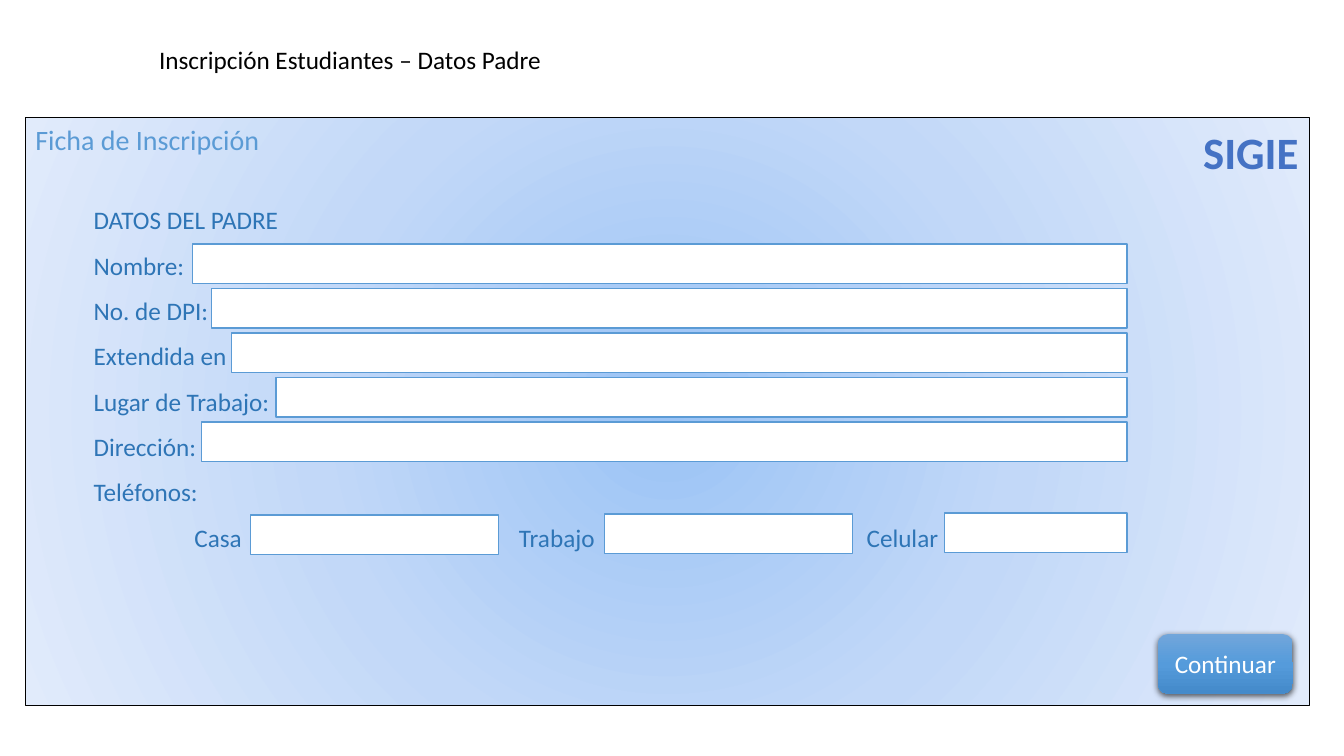
from dataclasses import dataclass

import pptx
import pptx.util
import pptx.oxml
import pptx.oxml.ns
import pptx.dml.color
import pptx.enum.shapes
import pptx.enum.text

Cm, Pt = pptx.util.Cm, pptx.util.Pt
FORM = pptx.enum.shapes.MSO_SHAPE
ALIGN = pptx.enum.text.PP_ALIGN
NS = pptx.oxml.ns.nsdecls("a")
FONT = "Calibri"
HUES = {
    "white": "FFFFFF", "black": "000000", "edge": "5B9BD5",
    "label": "2E75B6", "brand": "4472C4",
    "core": "9AC3F5", "mid": "C2D8F8", "rim": "E1EBFB",
    "top": "71A6DB", "body": "559BDB", "base": "448ACA",
}


@dataclass
class Box:
    left: float
    top: float
    width: float
    height: float

    def place(self) -> list[int]:
        return [Cm(v) for v in (self.left, self.top, self.width, self.height)]


@dataclass
class Note:
    box: Box
    lines: list[str]
    size: int
    hue: str
    wrap: bool = True
    bold: bool = False
    align: ALIGN = ALIGN.LEFT
    space: float = 1.0


RIGHT = 28.4
ROW_TOP, ROW_STEP, TALL = 6.15, 1.12, 1.0
LEFTS = [4.85, 5.33, 5.84, 6.96, 5.08]
ROWS = [Box(x, ROW_TOP + i * ROW_STEP, RIGHT - x, TALL)
        for i, x in enumerate(LEFTS)]
PHONES = [Box(6.32, 12.98, 6.25, TALL), Box(15.24, 12.95, 6.25, TALL),
          Box(23.8, 12.93, RIGHT - 23.8, TALL)]
TABS = [2.54, 10.72, 19.48]
PANEL = Box(0.64, 2.95, 32.36, 14.83)
BUTTON = Box(29.18, 15.98, 3.4, 1.5)

BRAND = Note(Box(30.05, 3.02, 2.95, 1.63), ["SIGIE"], 32, "brand",
             wrap=False, bold=True, align=ALIGN.CENTER)
TITLE = Note(Box(3.76, 0.99, 10.24, 1.02),
             ["Inscripción Estudiantes – Datos Padre"], 18, "black", wrap=False)
HEAD = Note(Box(0.64, 2.95, 11.38, 1.12), ["Ficha de Inscripción"], 20, "edge")
LABELS = Note(Box(2.11, 4.65, 27.94, 9.5),
              ["DATOS DEL PADRE", "Nombre:", "No. de DPI:", "Extendida en",
               "Lugar de Trabajo:", "Dirección:", "Teléfonos:",
               "\tCasa\tTrabajo\tCelular"], 18, "label", space=1.5)


def tint(hue: str) -> pptx.dml.color.RGBColor:
    return pptx.dml.color.RGBColor.from_string(HUES[hue])


def write(para, text: str, size: int, hue: str, bold: bool = False):
    run = para.add_run()
    run.text = text
    run.font.name, run.font.size, run.font.bold = FONT, Pt(size), bold
    run.font.color.rgb = tint(hue)
    return run


def add_note(slide, note: Note):
    shape = slide.shapes.add_textbox(*note.box.place())
    frame = shape.text_frame
    frame.word_wrap = note.wrap
    frame.auto_size = pptx.enum.text.MSO_AUTO_SIZE.SHAPE_TO_FIT_TEXT
    for i, line in enumerate(note.lines):
        para = frame.add_paragraph() if i else frame.paragraphs[0]
        para.alignment, para.line_spacing = note.align, note.space
        write(para, line, note.size, note.hue, note.bold)
    return shape


def add_form(slide, box: Box, kind=FORM.RECTANGLE):
    shape = slide.shapes.add_shape(kind, *box.place())
    shape.shadow.inherit = False
    return shape


def set_line(shape, hue: str, width: float) -> None:
    shape.line.color.rgb = tint(hue)
    shape.line.width = Pt(width)


def blend(shape, hues: list[str], shade: str) -> None:
    """Fill with evenly spaced gradient stops."""
    step = 100000 // (len(hues) - 1)
    stops = "".join(f'<a:gs pos="{i * step}"><a:srgbClr val="{HUES[h]}"/></a:gs>'
                    for i, h in enumerate(hues))
    fill = pptx.oxml.parse_xml(
        f"<a:gradFill {NS} rotWithShape=\"1\"><a:gsLst>{stops}</a:gsLst>{shade}</a:gradFill>")
    shape.element.spPr.find(pptx.oxml.ns.qn("a:prstGeom")).addnext(fill)


def add_panel(slide) -> None:
    panel = add_form(slide, PANEL)
    blend(panel, ["core", "mid", "rim"],
          '<a:path path="circle"><a:fillToRect l="50000" t="50000"'
          ' r="50000" b="50000"/></a:path>')
    set_line(panel, "black", 0.75)


def add_button(slide) -> None:
    button = add_form(slide, BUTTON, FORM.ROUNDED_RECTANGLE)
    blend(button, ["top", "body", "base"], '<a:lin ang="5400000" scaled="0"/>')
    button.line.fill.background()
    glow = button.element.spPr.find(pptx.oxml.ns.qn("a:effectLst"))
    glow.append(pptx.oxml.parse_xml(
        f'<a:outerShdw {NS} blurRad="{Pt(4.5)}" dist="{Pt(1.5)}" dir="5400000"'
        f' algn="ctr" rotWithShape="0"><a:srgbClr val="{HUES["black"]}">'
        '<a:alpha val="63000"/></a:srgbClr></a:outerShdw>'))
    button.text_frame.vertical_anchor = pptx.enum.text.MSO_ANCHOR.MIDDLE
    para = button.text_frame.paragraphs[0]
    para.alignment = ALIGN.CENTER
    write(para, "Continuar", 18, "white")


def add_brand(slide) -> None:
    """Large name with a thin white outline."""
    run = add_note(slide, BRAND).text_frame.paragraphs[0].runs[0]
    run.font.element.insert(0, pptx.oxml.parse_xml(
        f'<a:ln {NS} w="{Pt(0.75)}"><a:solidFill><a:srgbClr'
        f' val="{HUES["white"]}"/></a:solidFill></a:ln>'
    )) if hasattr(run.font, "element") else run.font._rPr.insert(
        0, pptx.oxml.parse_xml(
            f'<a:ln {NS} w="{Pt(0.75)}"><a:solidFill><a:srgbClr'
            f' val="{HUES["white"]}"/></a:solidFill></a:ln>'))


def add_labels(slide) -> None:
    """Form labels, the last line set on tab stops."""
    last = add_note(slide, LABELS).text_frame.paragraphs[-1]
    stops = "".join(f'<a:tab pos="{Cm(x)}" algn="l"/>' for x in TABS)
    last._p.get_or_add_pPr().append(
        pptx.oxml.parse_xml(f"<a:tabLst {NS}>{stops}</a:tabLst>"))


def add_field(slide, box: Box) -> None:
    field = add_form(slide, box)
    field.fill.solid()
    field.fill.fore_color.rgb = tint("white")
    set_line(field, "edge", 1)


def main() -> None:
    deck = pptx.Presentation()
    deck.slide_width, deck.slide_height = Cm(33.87), Cm(19.05)
    slide = deck.slides.add_slide(deck.slide_layouts[6])
    add_panel(slide)
    add_button(slide)
    add_brand(slide)
    add_note(slide, TITLE)
    add_note(slide, HEAD)
    add_labels(slide)
    for box in ROWS + PHONES:
        add_field(slide, box)
    deck.save("out.pptx")


if __name__ == "__main__":
    main()
